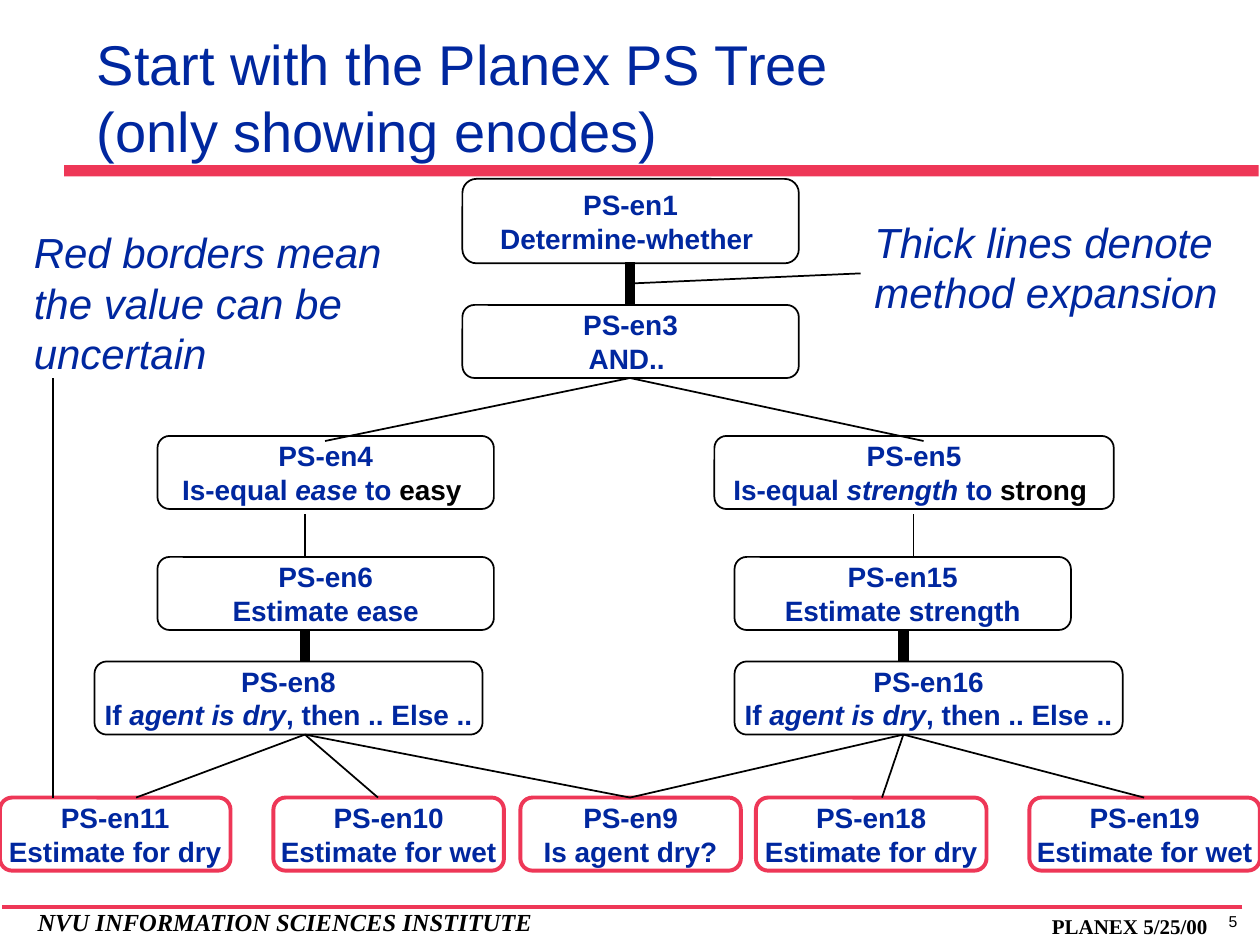
from dataclasses import dataclass

from lxml.etree import SubElement
from pptx import Presentation
from pptx.dml.color import RGBColor
from pptx.enum.shapes import MSO_CONNECTOR, MSO_SHAPE
from pptx.enum.text import MSO_ANCHOR, PP_ALIGN
from pptx.oxml.ns import qn
from pptx.util import Inches, Pt


@dataclass(frozen=True)
class Theme:
    blue: RGBColor = RGBColor(0x00, 0x27, 0x9F)
    red: RGBColor = RGBColor(0xEE, 0x37, 0x57)
    black: RGBColor = RGBColor(0, 0, 0)
    sans: str = "Arial"
    serif: str = "Times New Roman"
    title_size: float = 32
    note_size: float = 24
    node_size: float = 16
    institute_size: float = 14
    date_size: float = 12
    number_size: float = 9
    thin: float = 1
    rule: float = 2
    uncertain: float = 2.25
    thick: float = 6


def write(text_frame, lines, *, font, size, color, bold=False, italic=False,
          align=PP_ALIGN.LEFT, anchor=MSO_ANCHOR.TOP, wrap=False):
    """Write one paragraph per line; a line is a string or (text, changes) runs."""
    text_frame.word_wrap = wrap
    text_frame.vertical_anchor = anchor
    for index, line in enumerate(lines):
        paragraph = text_frame.paragraphs[0] if index == 0 else text_frame.add_paragraph()
        paragraph.alignment = align
        for text, changes in [(line, {})] if isinstance(line, str) else line:
            run = paragraph.add_run()
            run.text = text
            run.font.name = font
            run.font.size = Pt(size)
            run.font.bold = bold
            run.font.italic = changes.get("italic", italic)
            run.font.color.rgb = changes.get("color", color)


class SlideBuilder:
    def __init__(self, slide, theme):
        self.slide = slide
        self.theme = theme

    def text(self, lines, left, top, width, height, **style):
        shape = self.slide.shapes.add_textbox(*map(Inches, (left, top, width, height)))
        write(shape.text_frame, lines, **style)

    def bar(self, left, top, width, height):
        shape = self.slide.shapes.add_shape(
            MSO_SHAPE.RECTANGLE, *map(Inches, (left, top, width, height)))
        shape.shadow.inherit = False
        shape.fill.solid()
        shape.fill.fore_color.rgb = self.theme.red
        shape.line.fill.background()

    def node(self, lines, left, top, width, height=0.58, uncertain=False):
        theme = self.theme
        shape = self.slide.shapes.add_shape(
            MSO_SHAPE.ROUNDED_RECTANGLE, *map(Inches, (left, top, width, height)))
        shape.shadow.inherit = False
        shape.fill.background()
        shape.line.color.rgb = theme.red if uncertain else theme.black
        shape.line.width = Pt(theme.uncertain if uncertain else theme.thin)
        write(shape.text_frame, lines, font=theme.sans, size=theme.node_size,
              color=theme.blue, bold=True, align=PP_ALIGN.CENTER, anchor=MSO_ANCHOR.MIDDLE)

    def line(self, start, end, width, color):
        connector = self.slide.shapes.add_connector(
            MSO_CONNECTOR.STRAIGHT, *map(Inches, (*start, *end)))
        connector.line.width = Pt(width)
        connector.line.color.rgb = color
        SubElement(connector._element.spPr, qn("a:effectLst"))


def add_frame(builder):
    theme = builder.theme
    builder.bar(0.51, 1.31, 9.48, 0.09)
    builder.line((9.86, 7.2), (0.02, 7.2), theme.rule, theme.red)
    builder.text(["5"], 9.4, 7.19, 0.77, 0.25, font=theme.sans,
                 size=theme.number_size, color=theme.black, align=PP_ALIGN.CENTER)
    footer = dict(font=theme.serif, color=theme.black, bold=True, wrap=True)
    builder.text(["NVU INFORMATION SCIENCES INSTITUTE"], 0.2, 7.15, 4.36, 0.33,
                 size=theme.institute_size, italic=True, **footer)
    builder.text(["PLANEX 5/25/00"], 8.25, 7.2, 1.58, 0.3, size=theme.date_size, **footer)
    builder.text(["Start with the Planex PS Tree", "(only showing enodes)"],
                 0.67, 0.09, 8.48, 1.26, font=theme.sans, size=theme.title_size,
                 color=theme.blue, anchor=MSO_ANCHOR.BOTTOM, wrap=True)


def add_nodes(builder):
    italic = {"italic": True}
    black = {"color": builder.theme.black}

    def comparison(subject, value):
        return [("Is-equal ", {}), (subject, italic), (" to ", {}), (value, black)]

    condition = [("If ", {}), ("agent is dry", italic), (", then .. Else ..", {})]
    builder.node(["PS-en1", "Determine-whether "], 3.67, 1.42, 2.67, 0.67)
    for name, label, left, top, width in [
        ("PS-en3", "AND.. ", 3.67, 2.42, 2.67),
        ("PS-en4", comparison("ease", "easy "), 1.25, 3.46, 2.67),
        ("PS-en5", comparison("strength", "strong "), 5.67, 3.46, 3.17),
        ("PS-en6", "Estimate ease", 1.25, 4.42, 2.67),
        ("PS-en15", "Estimate strength", 5.83, 4.42, 2.67),
        ("PS-en8", condition, 0.75, 5.25, 3.08),
        ("PS-en16", condition, 5.83, 5.25, 3.08),
    ]:
        builder.node([name, label], left, top, width)
    for name, label, left, width in [
        ("PS-en11", "Estimate for dry", 0, 1.83),
        ("PS-en10", "Estimate for wet", 2.17, 1.83),
        ("PS-en9", "Is agent dry?", 4.13, 1.75),
        ("PS-en18", "Estimate for dry", 6, 1.83),
        ("PS-en19", "Estimate for wet", 8.17, 1.83),
    ]:
        builder.node([name, label], left, 6.33, width, uncertain=True)


def add_branches(builder):
    theme = builder.theme
    for x, top, bottom in [(5, 2.08, 2.42), (2.42, 5, 5.25), (7.17, 5, 5.25)]:
        builder.line((x, top), (x, bottom), theme.thick, theme.black)
    for x in (2.42, 7.25):
        builder.line((x, 4.08), (x, 4.42), theme.thin, theme.black)
    for parent, child_top, children in [
        ((5, 3), 3.5, (2.58, 7.33)),
        ((2.42, 5.83), 6.33, (1.08, 3, 5)),
        ((7.17, 5.83), 6.33, (5, 7, 9.08)),
    ]:
        for child in children:
            builder.line(parent, (child, child_top), theme.thin, theme.black)


def add_notes_on_meaning(builder):
    theme = builder.theme
    style = dict(font=theme.sans, size=theme.note_size, color=theme.blue, italic=True)
    builder.text(["Thick lines denote", "method expansion"], 6.84, 1.67, 2.95, 0.9, **style)
    builder.line((6.83, 2.17), (5, 2.25), theme.thin, theme.black)
    builder.text(["Red borders mean", "the value can be", "uncertain"],
                 0.17, 1.75, 2.96, 1.3, **style)
    builder.line((0.42, 3), (0.42, 6.33), theme.thin, theme.black)


def main():
    presentation = Presentation()
    presentation.slide_width = Inches(10)
    presentation.slide_height = Inches(7.5)
    slide = presentation.slides.add_slide(presentation.slide_layouts[6])
    builder = SlideBuilder(slide, Theme())
    add_frame(builder)
    add_nodes(builder)
    add_branches(builder)
    add_notes_on_meaning(builder)
    presentation.save("out.pptx")


if __name__ == "__main__":
    main()
